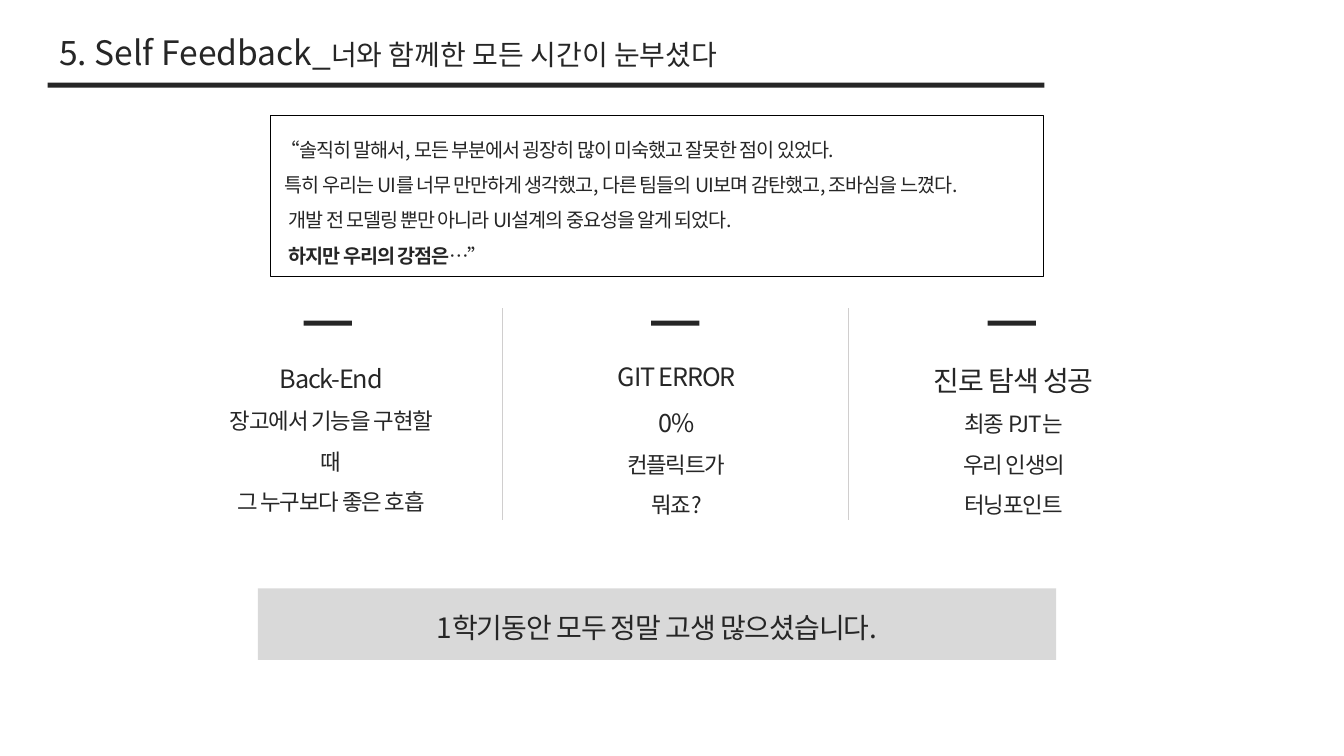
"""Build the self feedback slide with its quote, three columns and closing bar."""

from dataclasses import dataclass

from lxml.etree import SubElement
from pptx import Presentation
from pptx.dml.color import RGBColor
from pptx.enum.shapes import MSO_CONNECTOR, MSO_SHAPE
from pptx.enum.text import MSO_ANCHOR, MSO_AUTO_SIZE, PP_ALIGN
from pptx.oxml.ns import qn
from pptx.shapes.autoshape import Shape
from pptx.text.text import TextFrame
from pptx.util import Cm, Pt

FONT = "Noto Sans CJK KR"
HUES = {"ink": "262626", "edge": "000000", "rule": "D0CECE", "bar": "D9D9D9"}
TIGHT = -80


@dataclass(frozen=True)
class Box:
    left: float
    top: float
    width: float
    height: float

    def cms(self) -> tuple[Cm, Cm, Cm, Cm]:
        return Cm(self.left), Cm(self.top), Cm(self.width), Cm(self.height)


@dataclass(frozen=True)
class Piece:
    text: str
    size: int
    bold: bool = False


@dataclass(frozen=True)
class Line:
    pieces: tuple[Piece, ...]
    indent: float = 0


@dataclass(frozen=True)
class Column:
    dash: float
    box: Box
    lines: tuple[Line, ...]


def line(text: str, size: int, indent: float = 0) -> Line:
    return Line((Piece(text, size),), indent)


TITLE = Line((Piece("5. Self Feedback_", 24), Piece("너와 함께한 모든 시간이 눈부셨다", 20)))
QUOTE = (
    line("“솔직히 말해서, 모든 부분에서 굉장히 많이 미숙했고 잘못한 점이 있었다.", 14),
    line("특히 우리는 UI를 너무 만만하게 생각했고, 다른 팀들의 UI보며 감탄했고, 조바심을 느꼈다.", 14, 0.1),
    line("개발 전 모델링 뿐만 아니라 UI설계의 중요성을 알게 되었다.", 14, 0.2),
    Line((Piece("하지만 우리의 강점은", 14, True), Piece("…”", 14)), 0.2),
)
COLUMNS = (
    Column(7.65, Box(5.41, 8.66, 5.87, 3.51), (
        line("Back-End", 18),
        line("장고에서 기능을 구현할 때", 16),
        line("그 누구보다 좋은 호흡", 16),
    )),
    Column(16.41, Box(14.86, 8.61, 4.37, 3.38), (
        line("GIT ERROR 0%", 18),
        line("컨플릭트가", 16),
        line("뭐죠?", 16),
    )),
    Column(24.89, Box(22.89, 8.61, 5.31, 3.51), (
        line("진로 탐색 성공", 20),
        line("최종 PJT는", 16),
        line("우리 인생의 터닝포인트", 16),
    )),
)
RULES = (12.67, 21.39)


def tint(name: str) -> RGBColor:
    return RGBColor.from_string(HUES[name])


def write(frame: TextFrame, lines: tuple[Line, ...], align: PP_ALIGN,
          space: float = 1.5, track: int = TIGHT) -> None:
    frame.word_wrap = True
    for index, item in enumerate(lines):
        para = frame.paragraphs[0] if index == 0 else frame.add_paragraph()
        para.text = item.pieces[0].text
        for piece in item.pieces[1:]:
            para.add_run().text = piece.text
        para.alignment = align
        para.line_spacing = space
        if item.indent:
            para._p.get_or_add_pPr().set("marL", str(Cm(item.indent)))
        for run, piece in zip(para.runs, item.pieces):
            font = run.font
            font.name, font.size, font.bold = FONT, Pt(piece.size), piece.bold
            font.color.rgb = tint("ink")
            props = font._element
            props.set("spc", str(track))
            SubElement(props, qn("a:ea")).set("typeface", FONT)


def block(shapes, box: Box, hue: str) -> Shape:
    shape = shapes.add_shape(MSO_SHAPE.RECTANGLE, *box.cms())
    shape.shadow.inherit = False
    shape.fill.solid()
    shape.fill.fore_color.rgb = tint(hue)
    shape.line.fill.background()
    return shape


def label(shapes, box: Box, lines: tuple[Line, ...], space: float = 1.5) -> None:
    frame = shapes.add_textbox(*box.cms()).text_frame
    write(frame, lines, PP_ALIGN.CENTER, space)
    frame.auto_size = MSO_AUTO_SIZE.SHAPE_TO_FIT_TEXT


def divide(shapes, left: float) -> None:
    rule = shapes.add_connector(
        MSO_CONNECTOR.STRAIGHT, Cm(left), Cm(7.77), Cm(left), Cm(13.11))
    rule.line.color.rgb = tint("rule")
    rule.line.width = Pt(0.5)
    SubElement(rule._element.spPr, qn("a:effectLst"))


def main() -> None:
    deck = Presentation()
    deck.slide_width, deck.slide_height = Cm(33.87), Cm(19.05)
    shapes = deck.slides.add_slide(deck.slide_layouts[5]).shapes

    title = shapes.title
    title.left, title.top, title.width, title.height = Box(1.24, -0.15, 20.75, 2.44).cms()
    write(title.text_frame, (TITLE,), PP_ALIGN.LEFT, track=0)
    title.text_frame.vertical_anchor = MSO_ANCHOR.MIDDLE
    title.text_frame.auto_size = MSO_AUTO_SIZE.NONE
    block(shapes, Box(1.2, 2.08, 25.12, 0.13), "ink")

    quote = block(shapes, Box(6.83, 2.92, 19.48, 4.06), "edge")
    quote.fill.background()
    quote.line.color.rgb = tint("edge")
    quote.line.width = Pt(0.75)
    write(quote.text_frame, QUOTE, PP_ALIGN.LEFT)
    quote.text_frame.vertical_anchor = MSO_ANCHOR.MIDDLE

    for column in COLUMNS:
        block(shapes, Box(column.dash, 8.08, 1.22, 0.13), "ink")
        label(shapes, column.box, column.lines)
    for left in RULES:
        divide(shapes, left)

    thanks = shapes.add_group_shape().shapes
    block(thanks, Box(6.5, 14.83, 20.12, 1.8), "bar")
    label(thanks, Box(6.6, 15.27, 19.91, 1.12),
          (line("1학기동안 모두 정말 고생 많으셨습니다.", 20),), 1.0)

    deck.save("out.pptx")


if __name__ == "__main__":
    main()
